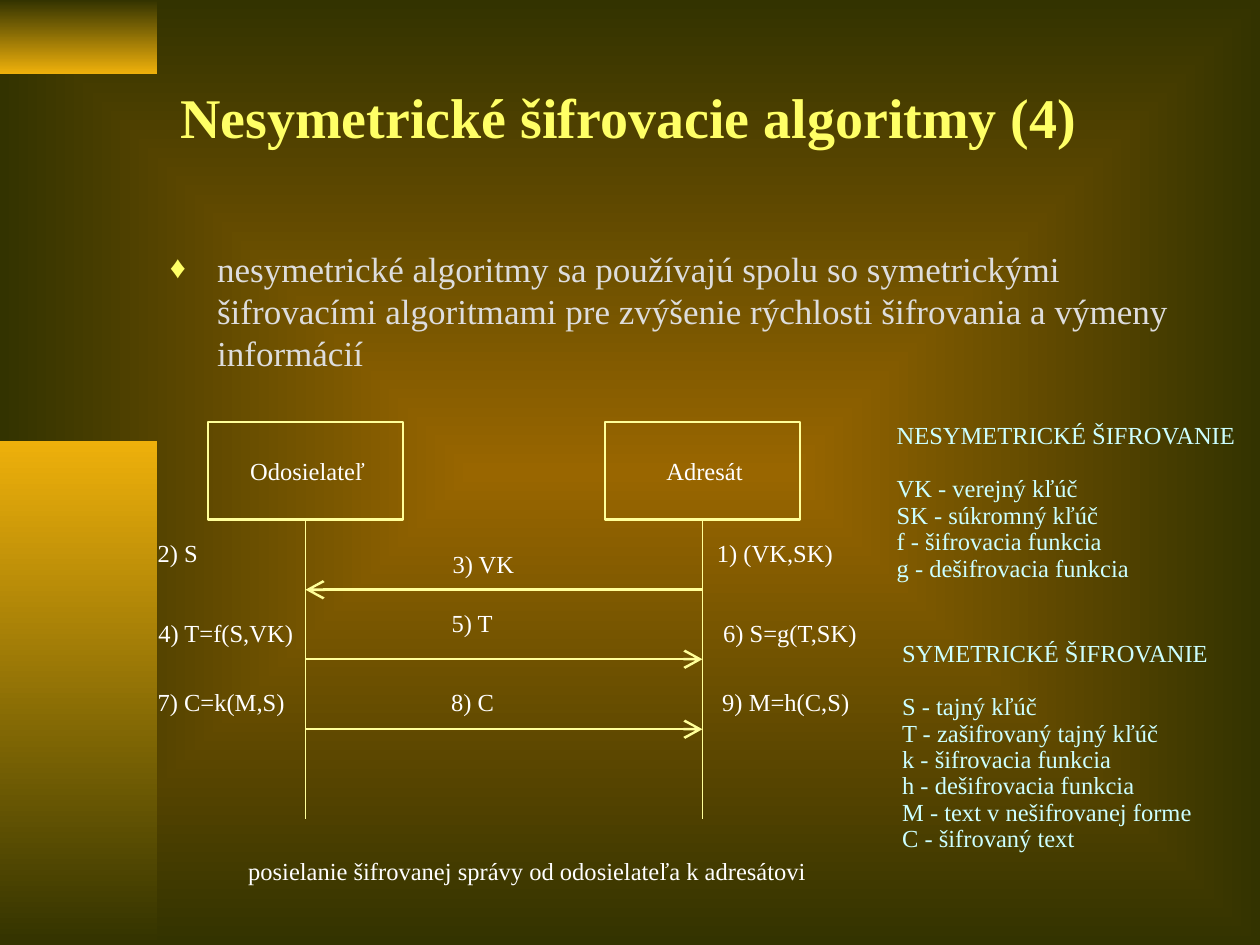
from lxml.etree import SubElement
from pptx import Presentation
from pptx.dml.color import RGBColor
from pptx.enum.shapes import MSO_CONNECTOR, MSO_SHAPE
from pptx.enum.text import MSO_ANCHOR, MSO_AUTO_SIZE, PP_ALIGN
from pptx.oxml.ns import qn
from pptx.util import Pt

FONT = "Times New Roman"
WHITE, LINE, CYAN = "FFFFFF", "FFFF99", "CCFFFF"
GOLD, OLIVE, BROWN, YELLOW = "EEB00B", "333300", "996600", "FFFF66"
SENDER_X, RECEIVER_X = 174.6, 401.4
LEGEND_STEP = 15.12

LABELS = [
    ("2) S", 90, 307.4, 26),
    ("3) VK", 258.6, 313.5, 38),
    ("1) (VK,SK)", 409.7, 307.4, 69),
    ("4) T=f(S,VK)", 90.5, 353, 80),
    ("5) T", 258, 347.2, 27),
    ("6) S=g(T,SK)", 413.3, 353, 80),
    ("7) C=k(M,S)", 90, 392.4, 76),
    ("8) C", 257.8, 392.4, 28),
    ("9) M=h(C,S)", 412.7, 392.4, 76),
    ("posielanie šifrovanej správy od odosielateľa k adresátovi", 141.8, 488.9, 322),
]
MESSAGES = [
    (RECEIVER_X, SENDER_X, 337),
    (SENDER_X, RECEIVER_X, 376.7),
    (SENDER_X, RECEIVER_X, 416.7),
]
ASYMMETRIC = [
    "NESYMETRICKÉ ŠIFROVANIE",
    "VK - verejný kľúč",
    "SK - súkromný kľúč",
    "f - šifrovacia funkcia",
    "g - dešifrovacia funkcia",
]
SYMMETRIC = [
    "SYMETRICKÉ ŠIFROVANIE",
    "S - tajný kľúč",
    "T - zašifrovaný tajný kľúč",
    "k - šifrovacia funkcia",
    "h - dešifrovacia funkcia",
    "M - text v nešifrovanej forme",
    "C - šifrovaný text",
]


def rgb(color):
    return RGBColor.from_string(color)


def write(p, text, size=14, color=WHITE, bold=False, align=PP_ALIGN.LEFT):
    p.alignment = align
    r = p.add_run()
    r.text = text
    r.font.name, r.font.size, r.font.bold = FONT, Pt(size), bold
    r.font.color.rgb = rgb(color)


def set_gradient(fill, start, end):
    fill.gradient()
    fill.gradient_angle = 270
    for stop, color in zip(fill.gradient_stops, (start, end)):
        stop.color.rgb = rgb(color)


def add_background(s):
    set_gradient(s.background.fill, BROWN, OLIVE)
    grad = s.element.find(".//" + qn("a:gradFill"))
    grad.remove(grad.find(qn("a:lin")))
    center = SubElement(grad, qn("a:path"), {"path": "rect"})
    SubElement(center, qn("a:fillToRect"), dict.fromkeys("ltrb", "50000"))


def add_rect(s, x, y, w, h):
    sp = s.shapes.add_shape(MSO_SHAPE.RECTANGLE, Pt(x), Pt(y), Pt(w), Pt(h))
    sp.shadow.inherit = False
    return sp


def add_band(s, y, h, start, end):
    sp = add_rect(s, 0, y, 90, h)
    set_gradient(sp.fill, start, end)
    sp.line.fill.background()


def add_party(s, text, x):
    sp = add_rect(s, x - 55.8, 241.2, 111.6, 55.8)
    sp.fill.background()
    sp.line.color.rgb = rgb(LINE)
    sp.line.width = Pt(1.45)
    tf = sp.text_frame
    tf.margin_left, tf.margin_right = Pt(8.4), Pt(6)
    tf.vertical_anchor = MSO_ANCHOR.MIDDLE
    write(tf.paragraphs[0], text, align=PP_ALIGN.CENTER)
    lifeline = add_line(s, x, 297, x, 468, 0.71)
    lifeline.begin_connect(sp, 2)


def add_line(s, x1, y1, x2, y2, width):
    c = s.shapes.add_connector(MSO_CONNECTOR.STRAIGHT, Pt(x1), Pt(y1), Pt(x2), Pt(y2))
    c.line.color.rgb = rgb(LINE)
    c.line.width = Pt(width)
    SubElement(c.element.spPr, qn("a:effectLst"))
    return c


def add_arrow(s, x1, x2, y):
    c = add_line(s, x1, y, x2, y, 1.45)
    ln = c.element.spPr.find(qn("a:ln"))
    SubElement(ln, qn("a:tailEnd"), {"type": "arrow", "w": "lg", "len": "lg"})


def add_text(s, x, y, w, h=16.6, margin=0, wrap=False):
    tf = s.shapes.add_textbox(Pt(x), Pt(y), Pt(w), Pt(h)).text_frame
    tf.margin_left = tf.margin_right = Pt(margin * 2)
    tf.margin_top = tf.margin_bottom = Pt(margin)
    tf.word_wrap = wrap
    return tf


def add_legend(s, lines, x, y):
    tf = add_text(s, x, y, 200, LEGEND_STEP * (len(lines) + 1))
    for i, line in enumerate(lines):
        p = tf.add_paragraph() if i else tf.paragraphs[0]
        p.line_spacing = Pt(LEGEND_STEP)
        p.space_after = Pt(0 if i else LEGEND_STEP)
        write(p, line, color=CYAN)


def add_title(s, text):
    sp = s.shapes.title
    sp.left, sp.top, sp.width, sp.height = Pt(95.8), Pt(31), Pt(612), Pt(70.6)
    tf = sp.text_frame
    tf.auto_size = MSO_AUTO_SIZE.NONE
    tf.vertical_anchor = MSO_ANCHOR.MIDDLE
    write(tf.paragraphs[0], text, size=32, color=YELLOW, bold=True)


def add_bullet(s, text):
    p = add_text(s, 90, 137.8, 612, 95.8, margin=3.6, wrap=True).paragraphs[0]
    pPr = p._p.get_or_add_pPr()
    pPr.set("marL", str(Pt(27)))
    pPr.set("indent", str(Pt(-27)))
    color = SubElement(pPr, qn("a:buClr"))
    SubElement(color, qn("a:srgbClr"), val=YELLOW)
    SubElement(pPr, qn("a:buSzPct"), val="90000")
    SubElement(pPr, qn("a:buFont"), typeface=FONT)
    SubElement(pPr, qn("a:buChar"), char="♦")
    write(p, text, size=20, color="DDDDDD")


def main():
    prs = Presentation()
    prs.slide_width, prs.slide_height = Pt(720), Pt(540)
    s = prs.slides.add_slide(prs.slide_layouts[5])
    add_background(s)
    add_band(s, 0, 42, OLIVE, GOLD)
    add_band(s, 252, 288, GOLD, OLIVE)
    add_title(s, "Nesymetrické šifrovacie algoritmy (4)")
    add_bullet(s, "nesymetrické algoritmy sa používajú spolu so symetrickými šifrovacími "
                  "algoritmami pre zvýšenie rýchlosti šifrovania a výmeny informácií")
    add_party(s, "Odosielateľ", SENDER_X)
    add_party(s, "Adresát", RECEIVER_X)
    for x1, x2, y in MESSAGES:
        add_arrow(s, x1, x2, y)
    for text, x, y, w in LABELS:
        write(add_text(s, x, y, w).paragraphs[0], text)
    add_legend(s, ASYMMETRIC, 512.4, 241.9)
    add_legend(s, SYMMETRIC, 515.5, 366.4)
    prs.save("out.pptx")


if __name__ == "__main__":
    main()
